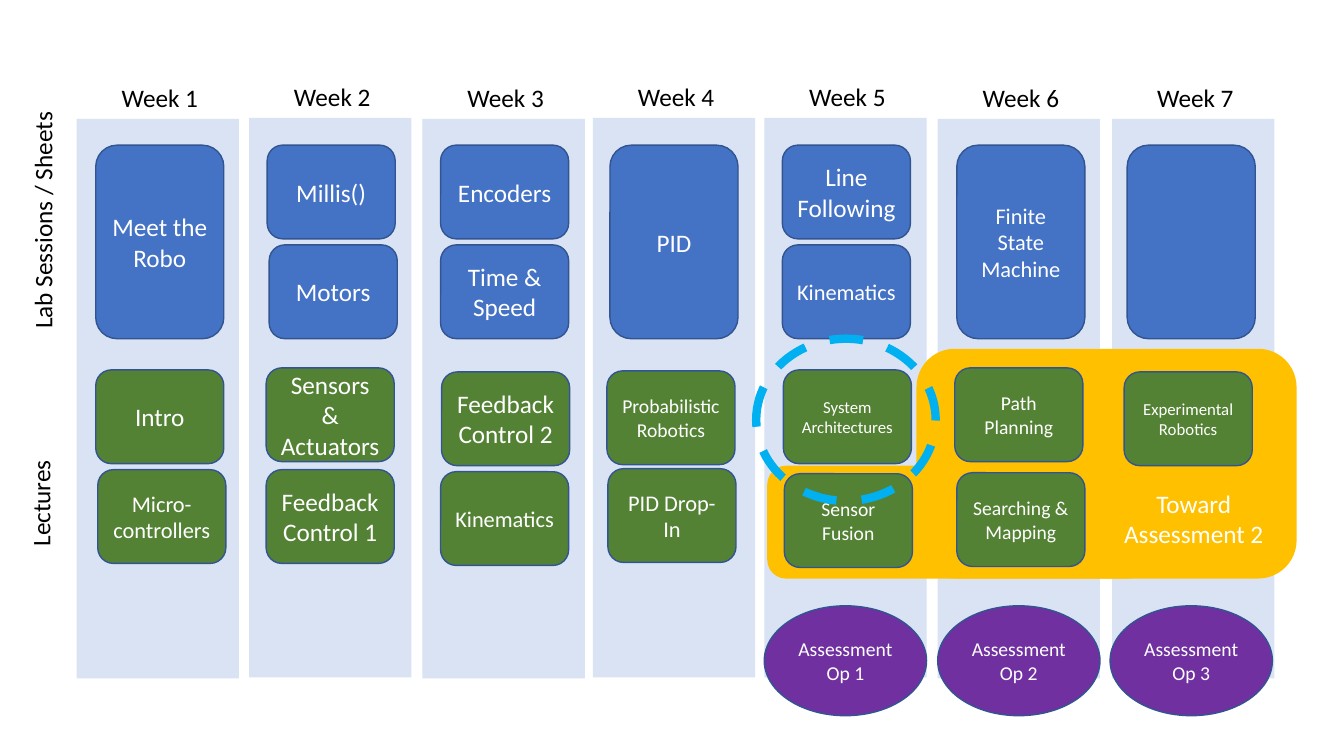
"""Build a seven-week course plan of labs, lectures and assessments."""
from dataclasses import dataclass

from pptx import Presentation
from pptx.dml.color import RGBColor
from pptx.enum.dml import MSO_LINE
from pptx.enum.shapes import MSO_SHAPE
from pptx.enum.text import MSO_ANCHOR, MSO_AUTO_SIZE, PP_ALIGN
from pptx.util import Inches, Pt

RECT, ROUNDED, OVAL = MSO_SHAPE.RECTANGLE, MSO_SHAPE.ROUNDED_RECTANGLE, MSO_SHAPE.OVAL
LEFT, CENTER, MIDDLE = PP_ALIGN.LEFT, PP_ALIGN.CENTER, MSO_ANCHOR.MIDDLE
GROW, DASH = MSO_AUTO_SIZE.SHAPE_TO_FIT_TEXT, MSO_LINE.DASH


@dataclass(frozen=True)
class Theme:
    """Colours, font and type sizes of the plan."""
    font: str = "Calibri"
    week: str = "DAE3F3"
    lab: str = "4472C4"
    lecture: str = "548235"
    assessment: str = "7030A0"
    region: str = "FFC000"
    ring: str = "00B0F0"
    outline: str = "325491"
    dark: str = "000000"
    light: str = "FFFFFF"
    large: int = 18
    medium: int = 16
    small: int = 14
    tiny: int = 12


THEME = Theme()
CARD_WIDTH, CARD_HEIGHT, TALL_HEIGHT = 1.27, 0.93, 1.92
WEEK_WIDTH, WEEK_HEIGHT = 1.61, 5.55

WEEKS = [(0.76, 1.18), (2.47, 1.17), (4.19, 1.18), (5.88, 1.17),
         (7.58, 1.17), (9.3, 1.18), (11.03, 1.18)]

LABS = [
    ("Meet the Robo", 0.95, 1.44, TALL_HEIGHT, THEME.large),
    ("Millis()", 2.65, 1.44, CARD_HEIGHT, THEME.large),
    ("Motors", 2.67, 2.43, CARD_HEIGHT, THEME.large),
    ("Encoders", 4.37, 1.44, CARD_HEIGHT, THEME.large),
    ("Time & Speed", 4.37, 2.43, CARD_HEIGHT, THEME.large),
    ("PID", 6.05, 1.44, TALL_HEIGHT, THEME.large),
    ("Line Following", 7.76, 1.44, CARD_HEIGHT, THEME.large),
    ("Kinematics", 7.76, 2.43, CARD_HEIGHT, THEME.medium),
    ("Finite State Machine", 9.49, 1.44, TALL_HEIGHT, THEME.medium),
    ("", 11.18, 1.44, TALL_HEIGHT, THEME.medium),
]

LECTURES = [
    ("Intro", 0.95, 3.67, THEME.large),
    ("Micro-controllers", 0.97, 4.66, THEME.medium),
    ("Sensors & Actuators", 2.64, 3.65, THEME.large),
    ("Feedback Control 1", 2.64, 4.66, THEME.large),
    ("Feedback Control 2", 4.38, 3.69, THEME.large),
    ("Kinematics", 4.37, 4.68, THEME.medium),
    ("Probabilistic Robotics", 6.02, 3.68, THEME.small),
    ("PID Drop-In", 6.03, 4.65, THEME.medium),
    ("System\nArchitectures", 7.77, 3.67, THEME.tiny),
    ("Sensor Fusion", 7.78, 4.7, THEME.small),
    ("Path Planning", 9.47, 3.65, THEME.small),
    ("Searching & Mapping", 9.49, 4.69, THEME.small),
    ("Experimental Robotics", 11.15, 3.69, THEME.tiny),
]

ASSESSMENT_LEFTS = [7.58, 9.3, 11.01]
REGION_PARTS = [(9.09, 3.46, 3.77, 2.28), (7.61, 4.62, 3.77, 1.12)]
ROW_LABELS = [("Lab Sessions / Sheets", 0.22, 0.57), ("Lectures", 0.2, 2.73)]


def write(frame, text, size, color, align=CENTER):
    """Write each line of text as a one-run paragraph."""
    for index, line in enumerate(text.split("\n")):
        paragraph = frame.paragraphs[0] if index == 0 else frame.add_paragraph()
        paragraph.alignment = align
        run = paragraph.add_run()
        run.text = line
        run.font.name = THEME.font
        run.font.size = Pt(size)
        run.font.color.rgb = RGBColor.from_string(color)


def add_block(shapes, kind, box, fill=None, outline=None, width=1):
    """Add a flat shape with an optional fill and outline."""
    block = shapes.add_shape(kind, *map(Inches, box))
    block.shadow.inherit = False
    if fill:
        block.fill.solid()
        block.fill.fore_color.rgb = RGBColor.from_string(fill)
    else:
        block.fill.background()
    if outline:
        block.line.color.rgb = RGBColor.from_string(outline)
        block.line.width = Pt(width)
    else:
        block.line.fill.background()
    return block


def add_card(shapes, kind, box, fill, text, size):
    """Add an outlined block with centred light text."""
    card = add_block(shapes, kind, box, fill, THEME.outline)
    if text:
        card.text_frame.word_wrap = True
        card.text_frame.vertical_anchor = MIDDLE
        write(card.text_frame, text, size, THEME.light)


def add_label(shapes, box, text, color=THEME.dark, align=CENTER, wrap=True):
    """Add a free-standing label and return its text frame."""
    frame = shapes.add_textbox(*map(Inches, box)).text_frame
    frame.word_wrap = wrap
    frame.auto_size = GROW
    write(frame, text, THEME.large, color, align)
    return frame


def add_row_label(shapes, text, left, top):
    """Add a label that reads upwards beside a row."""
    frame = add_label(shapes, (left, top, 0.5, 2.79), text, align=LEFT)
    frame._txBody.bodyPr.set("vert", "vert270")


def add_region(shapes):
    """Add the grouped area leading toward the second assessment."""
    region = shapes.add_group_shape()
    for part in REGION_PARTS:
        add_block(region.shapes, ROUNDED, part, THEME.region)


def main():
    """Draw the plan and save it."""
    deck = Presentation()
    deck.slide_width, deck.slide_height = Inches(13.33), Inches(7.5)
    shapes = deck.slides.add_slide(deck.slide_layouts[6]).shapes

    for number, (left, top) in enumerate(WEEKS, 1):
        add_block(shapes, RECT, (left, top, WEEK_WIDTH, WEEK_HEIGHT), THEME.week)
        add_label(shapes, (left + 0.1, top - 0.41, 1.45, 0.4), f"Week {number}")
    for row_label in ROW_LABELS:
        add_row_label(shapes, *row_label)

    for text, left, top, height, size in LABS:
        add_card(shapes, ROUNDED, (left, top, CARD_WIDTH, height), THEME.lab, text, size)
    for number, left in enumerate(ASSESSMENT_LEFTS, 1):
        add_card(shapes, OVAL, (left, 6.01, WEEK_WIDTH, 1.09), THEME.assessment,
                 f"Assessment Op {number}", THEME.small)

    add_region(shapes)
    for text, left, top, size in LECTURES:
        add_card(shapes, ROUNDED, (left, top, CARD_WIDTH, CARD_HEIGHT),
                 THEME.lecture, text, size)
    add_label(shapes, (11.04, 4.79, 1.6, 0.71), "Toward\nAssessment 2",
              THEME.light, wrap=False)

    ring = add_block(shapes, OVAL, (7.5, 3.36, 1.78, 1.61), outline=THEME.ring, width=6)
    ring.line.dash_style = DASH
    deck.save("out.pptx")


if __name__ == "__main__":
    main()
